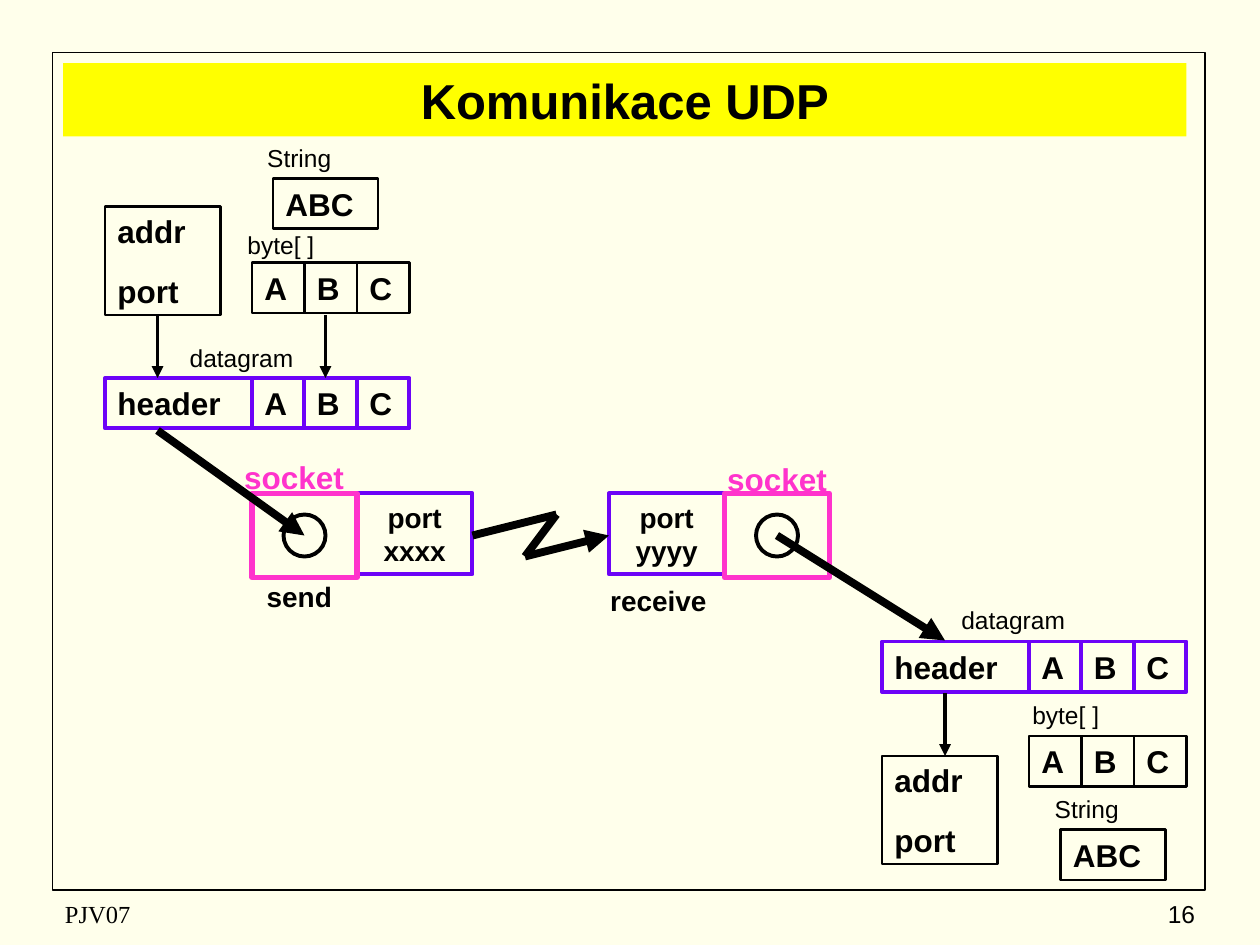
"""Build the slide that shows how a UDP datagram travels between two sockets."""
from lxml import etree
from pptx import Presentation
from pptx.dml.color import RGBColor
from pptx.enum.shapes import MSO_CONNECTOR, MSO_SHAPE
from pptx.enum.text import MSO_ANCHOR, PP_ALIGN
from pptx.oxml.ns import qn
from pptx.util import Cm, Pt

THEME = {
    "paper": "FFFFEB", "ink": "000000", "banner": "FFFF00",
    "violet": "6C03F7", "pink": "FF33CC",
    "sans": "Arial", "serif": "Times New Roman",
    "title": 28, "cell": 18, "port": 16, "label": 14,
}
UNIT = 2.54 / 12
LEFT, CENTER, RIGHT = PP_ALIGN.LEFT, PP_ALIGN.CENTER, PP_ALIGN.RIGHT

TITLE = "Komunikace UDP"
TITLE_AREA = (6, 6, 107, 7)
FRAME = (5, 5, 109.8, 79.8)
BYTES = ["A", "B", "C"]
CELL_W, CELL_H, HEADER_W = 5, 4.8, 14

PACKETS = [(10, 36), (84, 61.1)]
BYTE_ARRAYS = [(24, 25), (98, 70.1)]
STRINGS = [(26, 17), (101, 79)]
ADDRESSES = [(10, 19.7), (84, 72)]
PORTS = [("xxxx", 34, 47), ("yyyy", 58, 47)]
SOCKETS = [(24, 47), (69, 47)]

LABELS = [
    ("datagram", (16, 32, 14, 4.1), "label", "ink", False),
    ("datagram", (89, 57, 15, 4.1), "label", "ink", False),
    ("String", (21, 13, 15, 4.1), "label", "ink", False),
    ("String", (96, 75, 15, 4.1), "label", "ink", False),
    ("byte[ ]", (19.25, 21.3, 15, 4.1), "label", "ink", False),
    ("byte[ ]", (94, 66, 15, 4.1), "label", "ink", False),
    ("send", (24, 54.6, 9, 4.4), "port", "ink", True),
    ("receive", (55.2, 55, 15, 4.4), "port", "ink", True),
    ("socket", (20, 43, 16, 4.8), "cell", "pink", True),
    ("socket", (66, 43.2, 16, 4.8), "cell", "pink", True),
]
FOOTERS = [
    ("PJV07", (5, 85, 38, 4), "serif", LEFT),
    ("16", (90, 85, 25, 4), "sans", RIGHT),
]
LINES = [
    ((15, 30), (15, 36), 2.25, True),
    ((31, 30), (31, 36), 2.25, True),
    ((90, 66), (90, 72), 2.25, True),
    ((15, 41), (29, 51), 4.5, True),
    ((74, 51), (90, 61), 4.5, True),
    ((45, 51), (53, 49), 4.5, False),
    ((53, 49), (50, 53), 4.5, False),
    ((50, 53), (58, 51), 4.5, True),
]


def color(key):
    return RGBColor.from_string(THEME[key])


def grid(values):
    return [Cm(v * UNIT) for v in values]


def write(sp, lines, size, ink="ink", bold=True, align=LEFT, font="sans", gap=0):
    tf = sp.text_frame
    tf.word_wrap = True
    tf.vertical_anchor = MSO_ANCHOR.MIDDLE
    for i, line in enumerate(lines):
        p = tf.add_paragraph() if i else tf.paragraphs[0]
        p.text = line
        p.alignment = align
        p.space_before = Pt(gap if i else 0)
        p.font.name = THEME[font]
        p.font.size = Pt(THEME[size])
        p.font.bold = bold
        p.font.color.rgb = color(ink)


def box(s, area, line="ink", width=1.5, fill=None, kind=MSO_SHAPE.RECTANGLE):
    sp = s.shapes.add_shape(kind, *grid(area))
    sp.shadow.inherit = False
    if fill:
        sp.fill.solid()
        sp.fill.fore_color.rgb = color(fill)
    else:
        sp.fill.background()
    sp.line.color.rgb = color(line)
    sp.line.width = Pt(width)
    return sp


def byte_row(s, x, y, line="ink", width=1.5):
    for i, letter in enumerate(BYTES):
        area = (x + i * CELL_W, y, CELL_W, CELL_H)
        write(box(s, area, line, width), [letter], "cell")


def packet(s, x, y):
    header = box(s, (x, y, HEADER_W, CELL_H), "violet", 2.25)
    write(header, ["header"], "cell")
    byte_row(s, x + HEADER_W, y, "violet", 2.25)


def socket(s, x, y):
    box(s, (x, y, 10, 8), "pink", 3, "paper")
    box(s, (x + 3, y + 2, 4, 4), "ink", 2.25, "paper", MSO_SHAPE.OVAL)


def connect(s, start, end, width, arrow):
    line = s.shapes.add_connector(MSO_CONNECTOR.STRAIGHT, *grid(start + end))
    line.line.color.rgb = color("ink")
    line.line.width = Pt(width)
    if arrow:
        etree.SubElement(line.line._get_or_add_ln(), qn("a:tailEnd"), type="triangle")
    etree.SubElement(line._element.spPr, qn("a:effectLst"))


def add_title(s):
    sp = s.shapes.title
    sp.left, sp.top, sp.width, sp.height = grid(TITLE_AREA)
    sp.fill.solid()
    sp.fill.fore_color.rgb = color("banner")
    write(sp, [TITLE], "title", align=CENTER)


def main():
    prs = Presentation()
    prs.slide_width, prs.slide_height = Cm(25.4), Cm(19.05)
    s = prs.slides.add_slide(prs.slide_layouts[5])
    s.background.fill.solid()
    s.background.fill.fore_color.rgb = color("paper")

    box(s, FRAME, width=1)
    add_title(s)
    for x, y in STRINGS:
        write(box(s, (x, y, 10, CELL_H)), ["ABC"], "cell")
    for x, y in ADDRESSES:
        write(box(s, (x, y, 11, 10.3)), ["addr", "port"], "cell", gap=13)
    for x, y in BYTE_ARRAYS:
        byte_row(s, x, y)
    for x, y in PACKETS:
        packet(s, x, y)
    for number, x, y in PORTS:
        sp = box(s, (x, y, 11, 7.7), "violet", 2.25, "paper")
        write(sp, ["port", number], "port", align=CENTER)
    for x, y in SOCKETS:
        socket(s, x, y)
    for text, area, size, ink, bold in LABELS:
        write(s.shapes.add_textbox(*grid(area)), [text], size, ink, bold, CENTER)
    for text, area, font, align in FOOTERS:
        sp = s.shapes.add_textbox(*grid(area))
        write(sp, [text], "label", bold=False, align=align, font=font)
    for line in LINES:
        connect(s, *line)
    prs.save("out.pptx")


if __name__ == "__main__":
    main()
